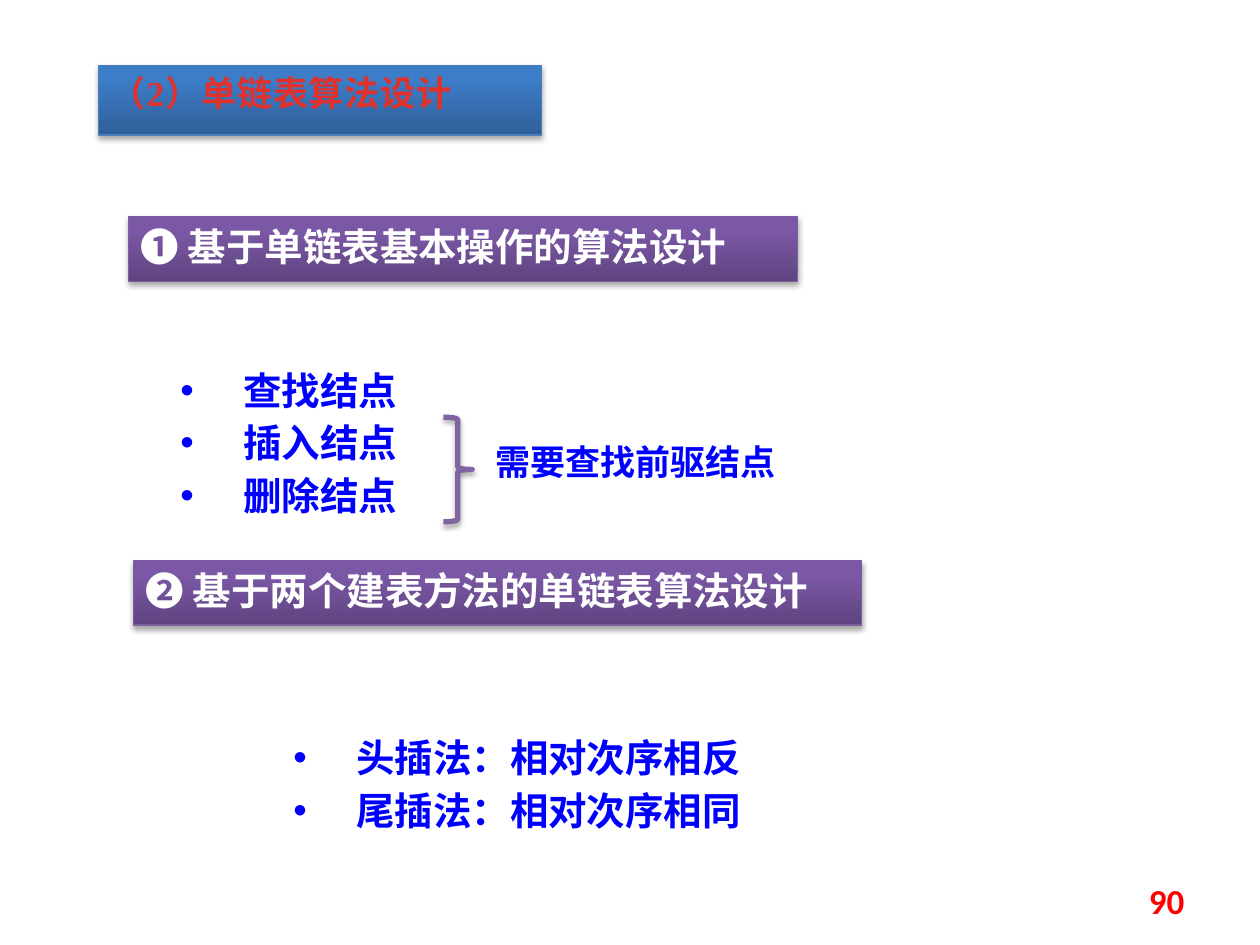
"""Build the slide on algorithm design with singly linked lists."""
from lxml.etree import SubElement
from pptx import Presentation
from pptx.dml.color import RGBColor
from pptx.enum.shapes import MSO_SHAPE as SHAPE
from pptx.enum.text import MSO_ANCHOR as ANCHOR, MSO_AUTO_SIZE as AUTO, PP_ALIGN as ALIGN
from pptx.oxml.ns import qn
from pptx.util import Cm, Pt

BLUE = RGBColor(0x00, 0x00, 0xFF)
RED = RGBColor(0xFF, 0x00, 0x00)
TITLE_RED = RGBColor(0xE0, 0x32, 0x2D)
WHITE = RGBColor(0xFF, 0xFF, 0xFF)
BRACE = RGBColor(0x80, 0x64, 0xA2)
BLUE_BAR = (RGBColor(0x2F, 0x5F, 0x99), RGBColor(0x3D, 0x7C, 0xC7), RGBColor(0x4B, 0x7E, 0xBC))
PURPLE_BAR = (RGBColor(0x5F, 0x44, 0x80), RGBColor(0x7B, 0x58, 0xA6), RGBColor(0x7D, 0x60, 0xA0))
SANS, SERIF, LATIN = "Noto Sans CJK SC", "Times New Roman", "Calibri"


class Deck:
    """Hold the presentation style and the current slide."""

    def __init__(self):
        self.prs = Presentation()
        self.prs.slide_width, self.prs.slide_height = Cm(25.4), Cm(19.05)
        self.s = self.prs.slides.add_slide(self.prs.slide_layouts[3])

    def place(self, sp, box):
        sp.left, sp.top, sp.width, sp.height = (Cm(v) for v in box)

    def set_text(self, sp, lines, name, size, color, align=ALIGN.LEFT, anchor=ANCHOR.TOP):
        tf = sp.text_frame
        tf.word_wrap, tf.auto_size, tf.vertical_anchor = True, AUTO.NONE, anchor
        style = {"name": name, "size": Pt(size), "bold": True}
        for i, line in enumerate(lines):
            p = tf.paragraphs[0] if i == 0 else tf.add_paragraph()
            p.alignment, p.space_before = align, Pt(0)
            r = p.add_run()
            r.text = line
            for key, value in style.items():
                setattr(r.font, key, value)
            r.font.color.rgb = color
            SubElement(r._r.get_or_add_rPr(), qn("a:ea"), typeface=SANS)

    def shadow(self, sp):
        sp.shadow.inherit = False
        effects = sp._element.spPr.find(qn("a:effectLst"))
        outer = SubElement(effects, qn("a:outerShdw"), blurRad="40000", dist="23000",
                           dir="5400000", rotWithShape="0")
        color = SubElement(outer, qn("a:srgbClr"), val="000000")
        SubElement(color, qn("a:alpha"), val="35000")

    def paint(self, sp, bar):
        dark, light, edge = bar
        sp.fill.gradient()
        sp.fill.gradient_angle = 90
        for stop, color, position in zip(sp.fill.gradient_stops, (dark, light), (0, 0.8)):
            stop.color.rgb, stop.position = color, position
        sp.line.color.rgb, sp.line.width = edge, Pt(0.75)
        self.shadow(sp)

    def title(self, box, text):
        sp = self.s.shapes.title
        self.place(sp, box)
        self.paint(sp, BLUE_BAR)
        self.set_text(sp, [text], SERIF, 20, TITLE_RED)
        sp.text_frame.paragraphs[0].runs[0]._r.get_or_add_rPr().set("spc", "50")

    def heading(self, box, text):
        sp = self.s.shapes.add_shape(SHAPE.RECTANGLE, *(Cm(v) for v in box))
        self.paint(sp, PURPLE_BAR)
        self.set_text(sp, [text], SANS, 22, WHITE)

    def bullets(self, idx, box, lines):
        sp = self.s.placeholders[idx]
        self.place(sp, box)
        self.set_text(sp, lines, SERIF, 22, BLUE)
        for p in sp.text_frame.paragraphs:
            p.line_spacing = Pt(30)
            pPr = p._p.get_or_add_pPr()
            pPr.set("marL", str(Cm(1.27)))
            pPr.set("indent", str(-Cm(1.27)))

    def text(self, box, text, name, color, **layout):
        sp = self.s.shapes.add_textbox(*(Cm(v) for v in box))
        self.set_text(sp, [text], name, 20, color, **layout)
        return sp

    def brace(self, box):
        sp = self.s.shapes.add_shape(SHAPE.RIGHT_BRACE, *(Cm(v) for v in box))
        sp.fill.background()
        sp.line.color.rgb, sp.line.width = BRACE, Pt(3)
        self.shadow(sp)
        return sp

    def group(self, *shapes):
        self.s.shapes.add_group_shape(shapes)


def main():
    d = Deck()
    d.title((1.98, 1.32, 8.94, 1.4), "（2）单链表算法设计")
    d.heading((2.59, 4.37, 13.49, 1.3), "❶ 基于单链表基本操作的算法设计")
    d.bullets(1, (3.38, 7.14, 6.15, 3.45), ["查找结点", "插入结点", "删除结点"])
    d.group(d.text((9.73, 8.76, 6.93, 1.14), "需要查找前驱结点", SANS, BLUE),
            d.brace((8.94, 8.41, 0.58, 2.11)))
    d.heading((2.69, 11.3, 14.68, 1.3), "❷ 基于两个建表方法的单链表算法设计")
    d.bullets(2, (5.66, 14.55, 10.11, 2.31), ["头插法：相对次序相反", "尾插法：相对次序相同"])
    d.text((18.21, 17.65, 5.92, 1.02), "90", LATIN, RED, align=ALIGN.RIGHT, anchor=ANCHOR.MIDDLE)
    d.prs.save("out.pptx")


if __name__ == "__main__":
    main()
